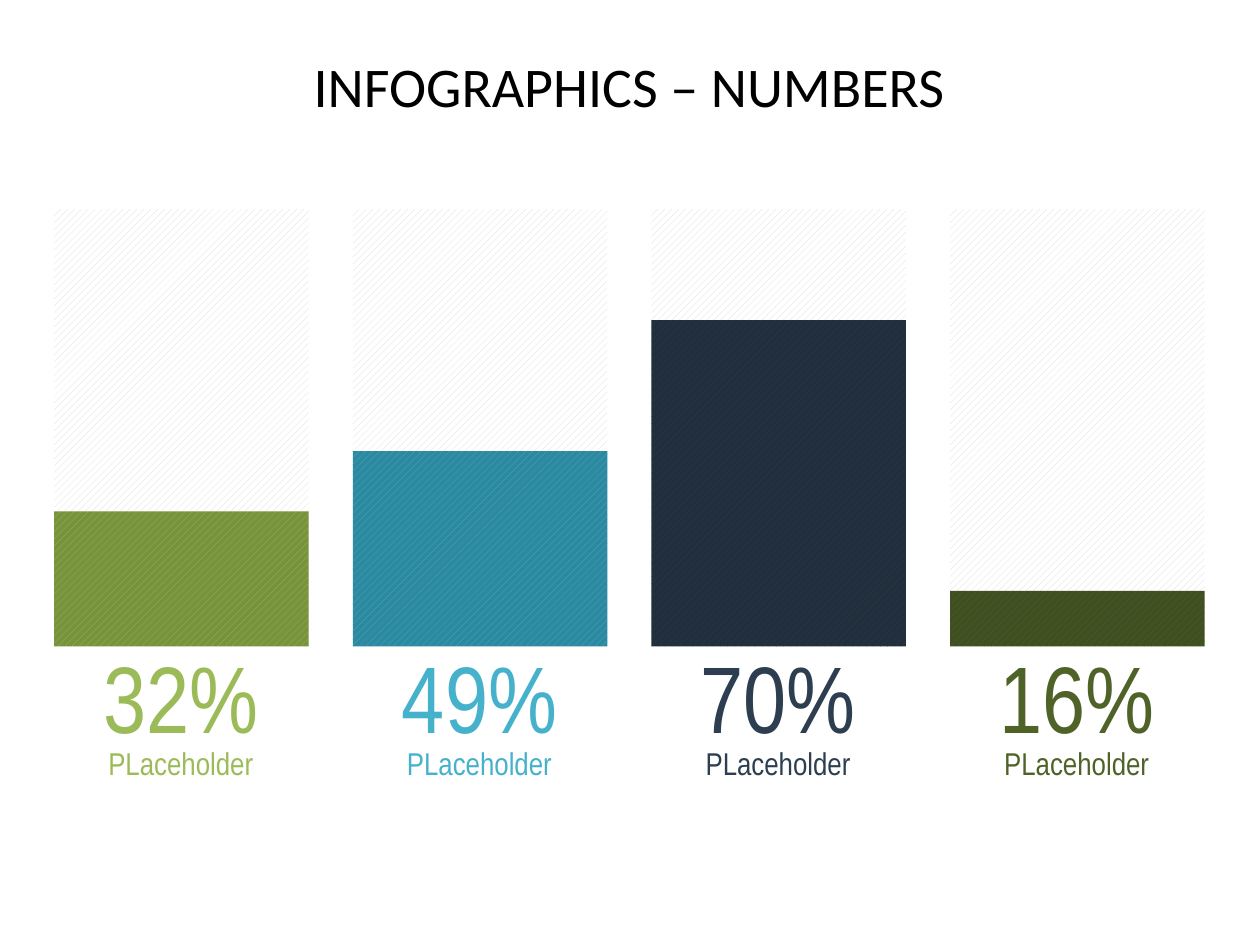
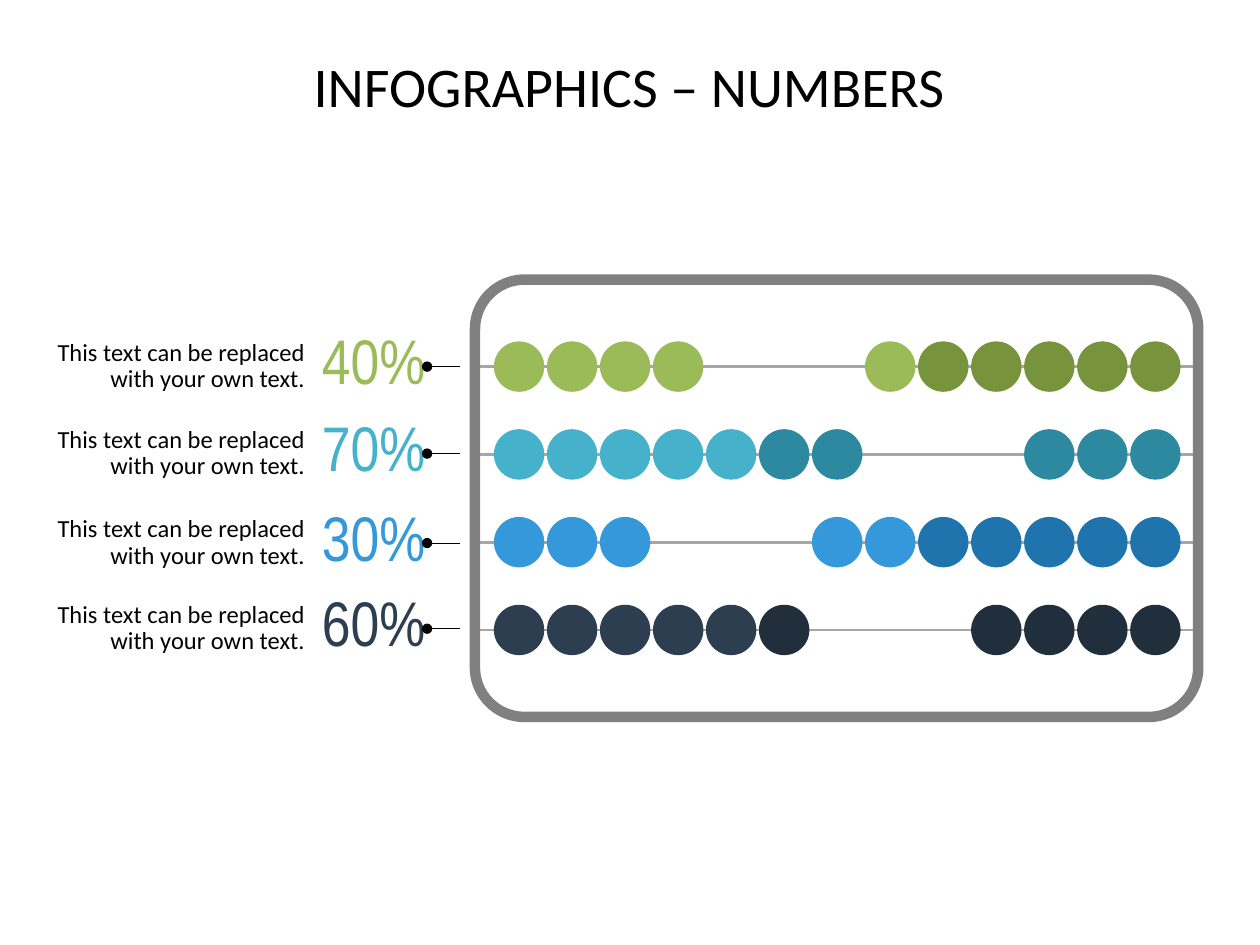
"""Build two infographic slides: percentage columns and an abacus."""
from lxml import etree
from pptx import Presentation
from pptx.dml.color import RGBColor
from pptx.enum.dml import MSO_PATTERN
from pptx.enum.shapes import MSO_CONNECTOR, MSO_SHAPE
from pptx.enum.text import MSO_ANCHOR, PP_ALIGN
from pptx.oxml.ns import qn
from pptx.util import Inches, Pt

RECTANGLE, OVAL, ROUNDED = MSO_SHAPE.RECTANGLE, MSO_SHAPE.OVAL, MSO_SHAPE.ROUNDED_RECTANGLE
STRAIGHT = MSO_CONNECTOR.STRAIGHT
DIAGONAL = MSO_PATTERN.WIDE_UPWARD_DIAGONAL
TOP, MIDDLE = MSO_ANCHOR.TOP, MSO_ANCHOR.MIDDLE
CENTER, RIGHT = PP_ALIGN.CENTER, PP_ALIGN.RIGHT

BLACK = RGBColor(0x00, 0x00, 0x00)
WHITE = RGBColor(0xFF, 0xFF, 0xFF)
PALE_GREY = RGBColor(0xD9, 0xD9, 0xD9)
ROD_GREY = RGBColor(0xA6, 0xA6, 0xA6)
FRAME_GREY = RGBColor(0x80, 0x80, 0x80)
GREEN, DARK_GREEN = RGBColor(0x9B, 0xBB, 0x59), RGBColor(0x77, 0x93, 0x3C)
TEAL, DARK_TEAL = RGBColor(0x45, 0xB1, 0xCB), RGBColor(0x2D, 0x89, 0x9F)
BLUE, DARK_BLUE = RGBColor(0x34, 0x98, 0xDB), RGBColor(0x1F, 0x74, 0xAD)
NAVY, DARK_NAVY = RGBColor(0x2C, 0x3E, 0x50), RGBColor(0x21, 0x2E, 0x3C)
OLIVE, DARK_OLIVE = RGBColor(0x4F, 0x62, 0x28), RGBColor(0x40, 0x4F, 0x21)

BODY_FONT, NUMBER_FONT = "Calibri", "Arial Narrow"
MARGIN = 0.43


def add_text(slide, box, text, sizes, font, color, align, anchor, spacing, after=10, insets=(0, 0, 0, 0)):
    frame = slide.shapes.add_textbox(*map(Inches, box)).text_frame
    frame.word_wrap = True
    frame.vertical_anchor = anchor
    frame.margin_left, frame.margin_top, frame.margin_right, frame.margin_bottom = map(Inches, insets)
    frame.text = text
    paragraph = frame.paragraphs[0]
    paragraph.alignment = align
    paragraph.line_spacing = spacing
    paragraph.space_after = Pt(after)
    for run, size in zip(paragraph.runs, sizes):
        run.font.size = Pt(size)
        run.font.name = font
        run.font.color.rgb = color


def add_line(slide, start, end, y, color, width):
    line = slide.shapes.add_connector(STRAIGHT, Inches(start), Inches(y), Inches(end), Inches(y))
    line.line.color.rgb = color
    line.line.width = Pt(width)
    etree.SubElement(line._element.spPr, qn("a:effectLst"))
    return line


prs = Presentation()
prs.slide_width, prs.slide_height = Inches(10), Inches(7.5)
columns_slide, abacus_slide = [prs.slides.add_slide(prs.slide_layouts[6]) for _ in range(2)]
for slide in (columns_slide, abacus_slide):
    add_text(slide, (MARGIN, 0.47, 9.13, 1.18), "INFOGRAPHICS – NUMBERS", [32],
             BODY_FONT, BLACK, CENTER, TOP, 0.9, after=0)

COLUMN_PITCH, COLUMN_WIDTH = 2.37, 2.02
COLUMN_TOP, COLUMN_BOTTOM = 1.66, 5.13
columns = [
    ("32%", 1.07, GREEN, DARK_GREEN),
    ("49%", 1.55, TEAL, DARK_TEAL),
    ("70%", 2.59, NAVY, DARK_NAVY),
    ("16%", 0.44, OLIVE, DARK_OLIVE),
]
for index, (percent, level, light, dark) in enumerate(columns):
    left = MARGIN + index * COLUMN_PITCH
    for height, stripe, ground in ((COLUMN_BOTTOM - COLUMN_TOP, PALE_GREY, WHITE), (level, light, dark)):
        bar = columns_slide.shapes.add_shape(
            RECTANGLE, Inches(left), Inches(COLUMN_BOTTOM - height), Inches(COLUMN_WIDTH), Inches(height))
        bar.shadow.inherit = False
        bar.line.fill.background()
        bar.fill.patterned()
        bar.fill.pattern = DIAGONAL
        bar.fill.fore_color.rgb = stripe
        bar.fill.back_color.rgb = ground
    add_text(columns_slide, (left, 5.16, 2.01, 1.21), f"{percent}\vPLaceholder", [54, 18],
             NUMBER_FONT, light, CENTER, MIDDLE, 0.8, insets=(0.08, 0.08, 0.08, 0.16))

FRAME_LEFT, FRAME_TOP, FRAME_WIDTH, FRAME_HEIGHT = 3.77, 2.22, 5.74, 3.47
BEAD_SIZE, BEAD_COUNT, LIGHT_BEADS, EMPTY_SLOTS = 0.4, 10, 5, 3
FIRST_BEAD, LAST_BEAD = 3.92, 8.97
BEAD_PITCH = (LAST_BEAD - FIRST_BEAD) / (BEAD_COUNT + EMPTY_SLOTS - 1)
FIRST_ROD, LAST_ROD = 2.91, 5.0
LABEL_HEIGHT = 0.7
rows = [
    (40, 2.56, GREEN, DARK_GREEN),
    (70, 3.25, TEAL, DARK_TEAL),
    (30, 3.96, BLUE, DARK_BLUE),
    (60, 4.64, NAVY, DARK_NAVY),
]
rods = [FIRST_ROD + index * (LAST_ROD - FIRST_ROD) / (len(rows) - 1) for index in range(len(rows))]
for rod in rods:
    add_line(abacus_slide, FRAME_LEFT, FRAME_LEFT + FRAME_WIDTH, rod, ROD_GREY, 1.5)

abacus_frame = abacus_slide.shapes.add_shape(
    ROUNDED, Inches(FRAME_LEFT), Inches(FRAME_TOP), Inches(FRAME_WIDTH), Inches(FRAME_HEIGHT))
abacus_frame.adjustments[0] = 0.113
abacus_frame.shadow.inherit = False
abacus_frame.fill.background()
abacus_frame.line.color.rgb = FRAME_GREY
abacus_frame.line.width = Pt(6)

for rod, (percent, label_top, light, dark) in zip(rods, rows):
    for number in range(BEAD_COUNT):
        slot = number if number < percent // 10 else number + EMPTY_SLOTS
        bead = abacus_slide.shapes.add_shape(
            OVAL, Inches(FIRST_BEAD + slot * BEAD_PITCH), Inches(rod - BEAD_SIZE / 2),
            Inches(BEAD_SIZE), Inches(BEAD_SIZE))
        bead.shadow.inherit = False
        bead.line.fill.background()
        bead.fill.solid()
        bead.fill.fore_color.rgb = light if number < LIGHT_BEADS else dark
    add_text(abacus_slide, (MARGIN, label_top, 2.11, LABEL_HEIGHT),
             "This text can be replaced with your own text.", [14],
             BODY_FONT, BLACK, RIGHT, MIDDLE, 0.9, insets=(0, 0, 0.12, 0))
    add_text(abacus_slide, (2.54, label_top, 0.85, LABEL_HEIGHT), f"{percent}%", [36],
             NUMBER_FONT, light, CENTER, MIDDLE, 0.8)
    pointer = add_line(abacus_slide, 3.65, 3.39, label_top + LABEL_HEIGHT / 2, BLACK, 0.5)
    etree.SubElement(pointer.line._get_or_add_ln(), qn("a:tailEnd"), type="oval")

prs.save("out.pptx")
